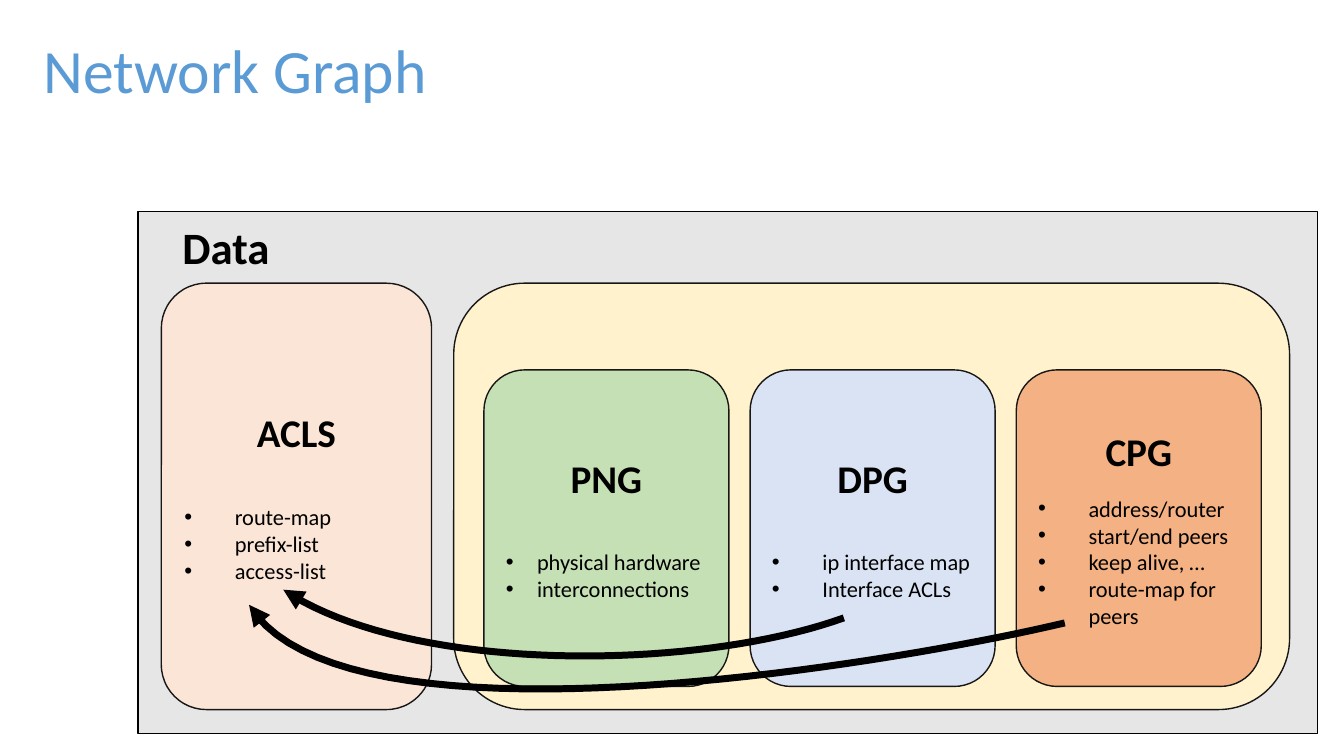
"""Build the Network Graph slide."""
from dataclasses import dataclass
from typing import Any

from lxml.etree import SubElement
from pptx import Presentation
from pptx.dml.color import RGBColor as RGB
from pptx.enum.shapes import MSO_SHAPE as Shape
from pptx.enum.text import MSO_ANCHOR as Anchor, MSO_AUTO_SIZE as AutoSize, PP_ALIGN as Align
from pptx.oxml.ns import qn
from pptx.util import Inches, Pt

Point = tuple[float, float]
Box = tuple[float, float, float, float]


@dataclass(frozen=True)
class Theme:
    """Colours and type sizes of the slide."""
    font: str = "Calibri"
    title: str = "5B9BD5"
    ink: str = "000000"
    outline: str = "181717"
    data: str = "E7E6E6"
    graphs: str = "FFF2CC"
    acls: str = "FBE5D6"
    png: str = "C5E0B4"
    dpg: str = "DAE3F3"
    cpg: str = "F4B183"
    title_size: int = 44
    data_size: int = 32
    head_size: int = 28
    item_size: int = 16


@dataclass(frozen=True)
class Card:
    """A rounded card with a heading and a bulleted list."""
    box: Box
    fill: str
    heading: str
    items: tuple[str, ...]
    gap: float = 34
    indent: float = 0.5


@dataclass(frozen=True)
class Arrow:
    """A cubic curve with an arrowhead at its end."""
    start: Point
    control1: Point
    control2: Point
    end: Point


THEME = Theme()
GRAPH_LEFT, GRAPH_PITCH = 4.8, 2.64
DATA_BOX: Box = (1.37, 2.1, 11.7, 5.18)
GRAPHS_BOX: Box = (4.5, 2.81, 8.29, 4.23)


def graph_box(column: int) -> Box:
    """Return the box of one graph card."""
    return GRAPH_LEFT + column * GRAPH_PITCH, 3.67, 2.43, 3.14


CARDS = (
    Card(graph_box(0), THEME.png, "PNG", ("physical hardware", "interconnections"), indent=0.31),
    Card(graph_box(1), THEME.dpg, "DPG", ("ip interface map", "Interface ACLs")),
    Card(graph_box(2), THEME.cpg, "CPG",
         ("address/router", "start/end peers", "keep alive, …", "route-map for peers"), gap=14.6),
    Card((1.6, 2.81, 2.68, 4.23), THEME.acls, "ACLS", ("route-map", "prefix-list", "access-list")),
)
ARROWS = (
    Arrow((8.37, 6.13), (6.9, 6.66), (4.06, 6.69), (2.81, 5.85)),
    Arrow((10.56, 6.18), (8.69, 6.62), (3.37, 7.49), (2.47, 6)),
)


def apply(target: Any, formats: dict[str, Any]) -> None:
    """Set each format value on the target."""
    for name, value in formats.items():
        setattr(target, name, value)


def write(p: Any, text: str, size: int, color: str = THEME.ink, bold: bool = False) -> None:
    """Add a formatted run to a paragraph."""
    r = p.add_run()
    r.text = text
    apply(r.font, {"name": THEME.font, "size": Pt(size), "bold": bold})
    r.font.color.rgb = RGB.from_string(color)


def add_bullet(p: Any, indent: float) -> None:
    """Give a paragraph a hanging bullet."""
    pPr = p._p.get_or_add_pPr()
    pPr.set("marL", str(Inches(indent)))
    pPr.set("indent", str(-Inches(indent)))
    SubElement(pPr, qn("a:buFont")).set("typeface", "Arial")
    SubElement(pPr, qn("a:buChar")).set("char", "•")


def add_panel(shapes: Any, kind: Any, box: Box, fill: str, line: str = THEME.outline) -> Any:
    """Draw a filled and outlined panel."""
    sp = shapes.add_shape(kind, *map(Inches, box))
    sp.shadow.inherit = False
    sp.fill.solid()
    sp.fill.fore_color.rgb = RGB.from_string(fill)
    sp.line.color.rgb = RGB.from_string(line)
    sp.line.width = Pt(1)
    return sp


def add_card(shapes: Any, card: Card) -> None:
    """Draw a card with its heading and list."""
    tf = add_panel(shapes, Shape.ROUNDED_RECTANGLE, card.box, card.fill).text_frame
    apply(tf, {"word_wrap": True, "vertical_anchor": Anchor.MIDDLE})
    p = tf.paragraphs[0]
    apply(p, {"alignment": Align.CENTER, "space_after": Pt(card.gap)})
    write(p, card.heading, THEME.head_size, bold=True)
    for item in card.items:
        p = tf.add_paragraph()
        p.alignment = Align.LEFT
        add_bullet(p, card.indent)
        write(p, item, THEME.item_size)


def curve_point(arrow: Arrow, t: float) -> Point:
    """Return the point of the curve at parameter t."""
    weights = ((1 - t) ** 3, 3 * t * (1 - t) ** 2, 3 * t ** 2 * (1 - t), t ** 3)
    points = (arrow.start, arrow.control1, arrow.control2, arrow.end)
    x, y = (sum(w * pt[axis] for w, pt in zip(weights, points)) for axis in (0, 1))
    return Inches(x), Inches(y)


def add_arrow(shapes: Any, arrow: Arrow, steps: int = 40) -> None:
    """Draw a curved arrow as an open outline."""
    builder = shapes.build_freeform(*curve_point(arrow, 0), scale=1.0)
    builder.add_line_segments([curve_point(arrow, i / steps) for i in range(1, steps + 1)], close=False)
    sp = builder.convert_to_shape()
    sp.shadow.inherit = False
    sp.fill.background()
    sp.line.color.rgb = RGB.from_string(THEME.ink)
    sp.line.width = Pt(5)
    SubElement(sp.line._get_or_add_ln(), qn("a:tailEnd")).set("type", "triangle")


def add_title(slide: Any) -> None:
    """Place and format the slide title."""
    sp = slide.shapes.title
    apply(sp, dict(zip(("left", "top", "width", "height"), map(Inches, (0.33, 0, 11.5, 1.45)))))
    tf = sp.text_frame
    apply(tf, {"word_wrap": True, "auto_size": AutoSize.NONE, "vertical_anchor": Anchor.MIDDLE})
    p = tf.paragraphs[0]
    apply(p, {"alignment": Align.LEFT, "line_spacing": 0.9})
    write(p, "Network Graph", THEME.title_size, THEME.title)


def main() -> None:
    """Build and save the presentation."""
    prs = Presentation()
    apply(prs, {"slide_width": Inches(13.33), "slide_height": Inches(7.5)})
    slide = prs.slides.add_slide(prs.slide_layouts.get_by_name("Title Only"))
    add_title(slide)
    shapes = slide.shapes.add_group_shape().shapes
    add_panel(shapes, Shape.RECTANGLE, DATA_BOX, THEME.data, THEME.ink)
    add_panel(shapes, Shape.ROUNDED_RECTANGLE, GRAPHS_BOX, THEME.graphs)
    for card in CARDS:
        add_card(shapes, card)
    for arrow in ARROWS:
        add_arrow(shapes, arrow)
    tf = shapes.add_textbox(*map(Inches, (1.71, 2.13, 1.52, 0.64))).text_frame
    apply(tf, {"word_wrap": True, "auto_size": AutoSize.SHAPE_TO_FIT_TEXT})
    write(tf.paragraphs[0], "Data", THEME.data_size, bold=True)
    prs.save("out.pptx")


if __name__ == "__main__":
    main()
